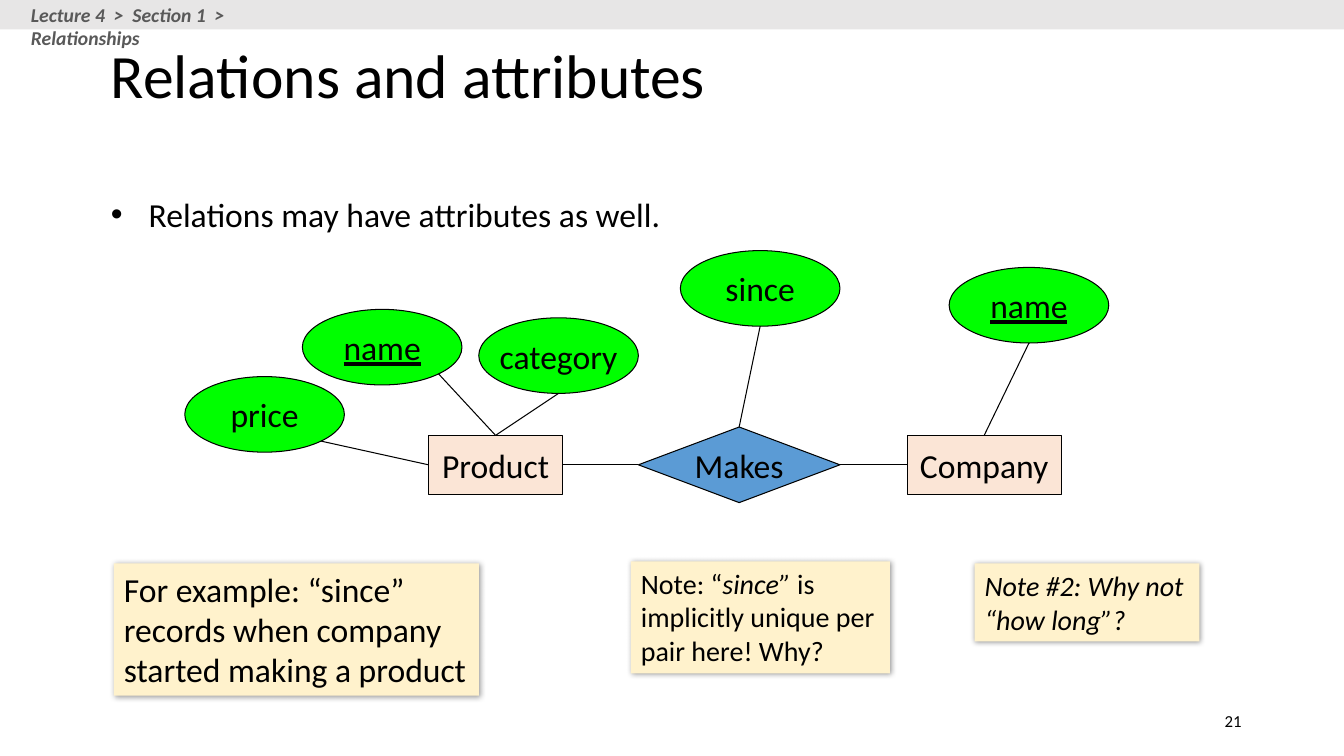
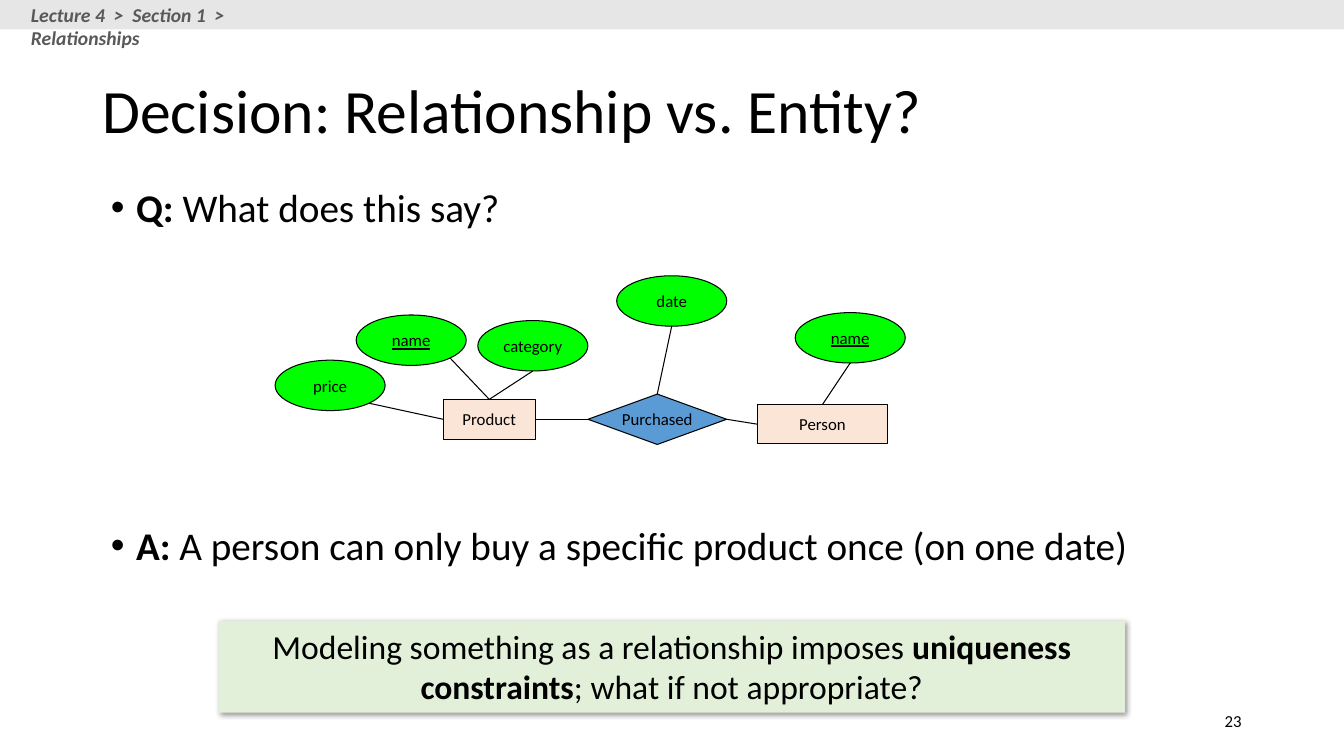
from lxml.etree import SubElement
from pptx import Presentation
from pptx.dml.color import RGBColor
from pptx.enum.shapes import MSO_CONNECTOR as LINE, MSO_SHAPE as SHAPE
from pptx.enum.text import MSO_ANCHOR as ANCHOR, MSO_AUTO_SIZE as FIT, PP_ALIGN as ALIGN
from pptx.oxml.ns import qn
from pptx.util import Pt

TOP, LEFT, RIGHT = 0, 1, 3
FONT = "Calibri"
BLACK, GRAY, BAND = "000000", "595959", "E7E6E6"
GREEN, BLUE, PEACH = "00FF00", "5B9BD5", "FBE5D6"
YELLOW, MINT = "FFF2CC", "E2F0D9"
SECTION = "Lecture 4  >  Section 1  >  Relationships"


def color(code):
    return RGBColor.from_string(code)


class Deck:
    def __init__(self, width, height):
        self.prs = Presentation()
        self.prs.slide_width = Pt(width)
        self.prs.slide_height = Pt(height)
        self.s = None

    def slide(self, title, box, number):
        self.s = self.prs.slides.add_slide(self.prs.slide_layouts[1])
        self.place(self.s.shapes.title, box)
        tf = self.s.shapes.title.text_frame
        tf.vertical_anchor = ANCHOR.MIDDLE
        self.add_runs(tf.paragraphs[0], [(title, "")], 44, spacing=0.9)
        self.shape(SHAPE.RECTANGLE, (0, 0, 960, 21), BAND)
        self.text(SECTION, (15, -1.5, 187, 24.5), 14, "bi", GRAY)
        self.text(number, (678, 500.4, 216, 28.8), 12, align=ALIGN.RIGHT, anchor=ANCHOR.MIDDLE)

    def place(self, sp, box):
        sp.left, sp.top, sp.width, sp.height = map(Pt, box)
        sp.text_frame.word_wrap = True
        sp.text_frame.auto_size = FIT.NONE

    def add_runs(self, p, runs, size, fill=BLACK, align=ALIGN.LEFT, spacing=1.0):
        p.alignment = align
        p.line_spacing = spacing
        p.space_before = Pt(0)
        for text, style in runs:
            r = p.add_run()
            r.text = text
            r.font.name = FONT
            r.font.size = Pt(size)
            r.font.color.rgb = color(fill)
            r.font.bold = "b" in style
            r.font.italic = "i" in style
            r.font.underline = "u" in style

    def text(self, text, box, size, style="", fill=BLACK, align=ALIGN.LEFT, anchor=ANCHOR.TOP):
        sp = self.s.shapes.add_textbox(*map(Pt, box))
        self.place(sp, box)
        sp.text_frame.vertical_anchor = anchor
        self.add_runs(sp.text_frame.paragraphs[0], [(text, style)], size, fill, align)

    def bullets(self, items, box, size, indent, spacing=1.0, gap=0):
        sp = self.s.placeholders[1]
        self.place(sp, box)
        tf = sp.text_frame
        for i, runs in enumerate(items):
            p = tf.add_paragraph() if i else tf.paragraphs[0]
            pPr = p._p.get_or_add_pPr()
            pPr.set("marL", str(Pt(indent)))
            pPr.set("indent", str(-Pt(indent)))
            self.add_runs(p, runs, size, spacing=spacing)
            if i:
                p.space_before = Pt(gap)

    def shape(self, kind, box, fill):
        sp = self.s.shapes.add_shape(kind, *map(Pt, box))
        sp.shadow.inherit = False
        sp.fill.solid()
        sp.fill.fore_color.rgb = color(fill)
        sp.line.fill.background()
        return sp

    def node(self, kind, label, box, fill, size, style=""):
        sp = self.shape(kind, box, fill)
        sp.line.color.rgb = color(BLACK)
        sp.line.width = Pt(0.75)
        tf = sp.text_frame
        tf.word_wrap = False
        tf.vertical_anchor = ANCHOR.MIDDLE
        self.add_runs(tf.paragraphs[0], [(label, style)], size, align=ALIGN.CENTER)
        return sp

    def note(self, runs, box, size, fill=YELLOW, align=ALIGN.LEFT):
        sp = self.shape(SHAPE.RECTANGLE, box, fill)
        effects = sp._element.spPr.find(qn("a:effectLst"))
        shadow = SubElement(effects, qn("a:outerShdw"), blurRad=str(Pt(4)), dist=str(Pt(1)),
                            dir="2700000", algn="tl", rotWithShape="0")
        tint = SubElement(shadow, qn("a:srgbClr"), val=BLACK)
        SubElement(tint, qn("a:alpha"), val="40000")
        tf = sp.text_frame
        tf.word_wrap = True
        tf.vertical_anchor = ANCHOR.TOP
        self.add_runs(tf.paragraphs[0], runs, size, align=align)

    def link(self, x, y, target, side, source=None):
        cxn = self.s.shapes.add_connector(LINE.STRAIGHT, Pt(x), Pt(y), Pt(x), Pt(y))
        if source is not None:
            cxn.begin_connect(source, RIGHT)
        cxn.end_connect(target, side)
        cxn.line.color.rgb = color(BLACK)
        cxn.line.width = Pt(0.75)
        SubElement(cxn._element.spPr, qn("a:effectLst"))

    def diagram(self, size, oval, product, relation, entity, attributes):
        nodes = [self.node(kind, label, box, fill, size) for kind, fill, (label, box) in (
            (SHAPE.RECTANGLE, PEACH, product),
            (SHAPE.DIAMOND, BLUE, relation),
            (SHAPE.RECTANGLE, PEACH, entity))]
        for source, target in zip(nodes, nodes[1:]):
            self.link(0, 0, target, LEFT, source)
        w, h = oval
        corner = 0.5 + 0.5 ** 1.5
        exits = {"bottom": (0.5, 1), "corner": (corner, corner)}
        for label, x, y, start, owner, side in attributes:
            style = "u" if label == "name" else ""
            self.node(SHAPE.OVAL, label, (x, y, w, h), GREEN, size, style)
            fx, fy = exits[start]
            self.link(x + w * fx, y + h * fy, nodes[owner], side)


def main():
    deck = Deck(960, 540)

    deck.slide("Relations and attributes", (72, 10.8, 816, 90), "21")
    deck.bullets([[("Relations may have attributes as well.", "")]], (72, 134.6, 462, 36), 24, 27)
    deck.diagram(
        24, (114, 54),
        ("Product", (306, 311, 96, 42)),
        ("Makes", (456, 305, 144, 54)),
        ("Company", (648, 311, 110, 42)),
        [("name", 216, 221, "corner", 0, TOP),
         ("category", 342, 227, "bottom", 0, TOP),
         ("price", 132, 269, "corner", 0, LEFT),
         ("since", 486, 179, "bottom", 1, TOP),
         ("name", 678, 191, "bottom", 2, TOP)])
    deck.note([("For example: “since” records when company started making a product", "")],
              (81.4, 402.5, 260.6, 94.5), 24)
    deck.note([("Note: “", ""), ("since” ", "i"), ("is implicitly unique per pair here! Why?", "")],
              (450.7, 401, 185, 80), 20)
    deck.note([("Note #2: Why not “how long”?", "i")], (696.2, 402.5, 160.6, 55.7), 20)

    deck.slide("Decision: Relationship vs. Entity?", (66, 28.8, 828, 104.4), "23")
    deck.bullets(
        [[("Q: ", "b"), ("What does this say?", "")],
         [("A: ", "b"), ("A person can only buy a specific product once (on one date)", "")]],
        (72, 131, 816, 297), 28, 18, spacing=0.9, gap=211)
    deck.diagram(
        12, (78.6, 36),
        ("Product", (316.5, 285.3, 66, 28.4)),
        ("Purchased", (420, 281.5, 99, 36)),
        ("Person", (541, 289, 93, 28)),
        [("name", 254.4, 225, "corner", 0, TOP),
         ("category", 341.3, 229, "bottom", 0, TOP),
         ("price", 196.5, 257.3, "corner", 0, LEFT),
         ("date", 440.5, 197, "bottom", 1, TOP),
         ("name", 568, 223.3, "bottom", 2, TOP)])
    deck.note([("Modeling something as a relationship imposes ", ""),
               ("uniqueness constraints", "b"),
               ("; what if not appropriate?", "")],
              (156.2, 443.5, 647.3, 65.5), 24, MINT, ALIGN.CENTER)

    deck.prs.save("out.pptx")


if __name__ == "__main__":
    main()
